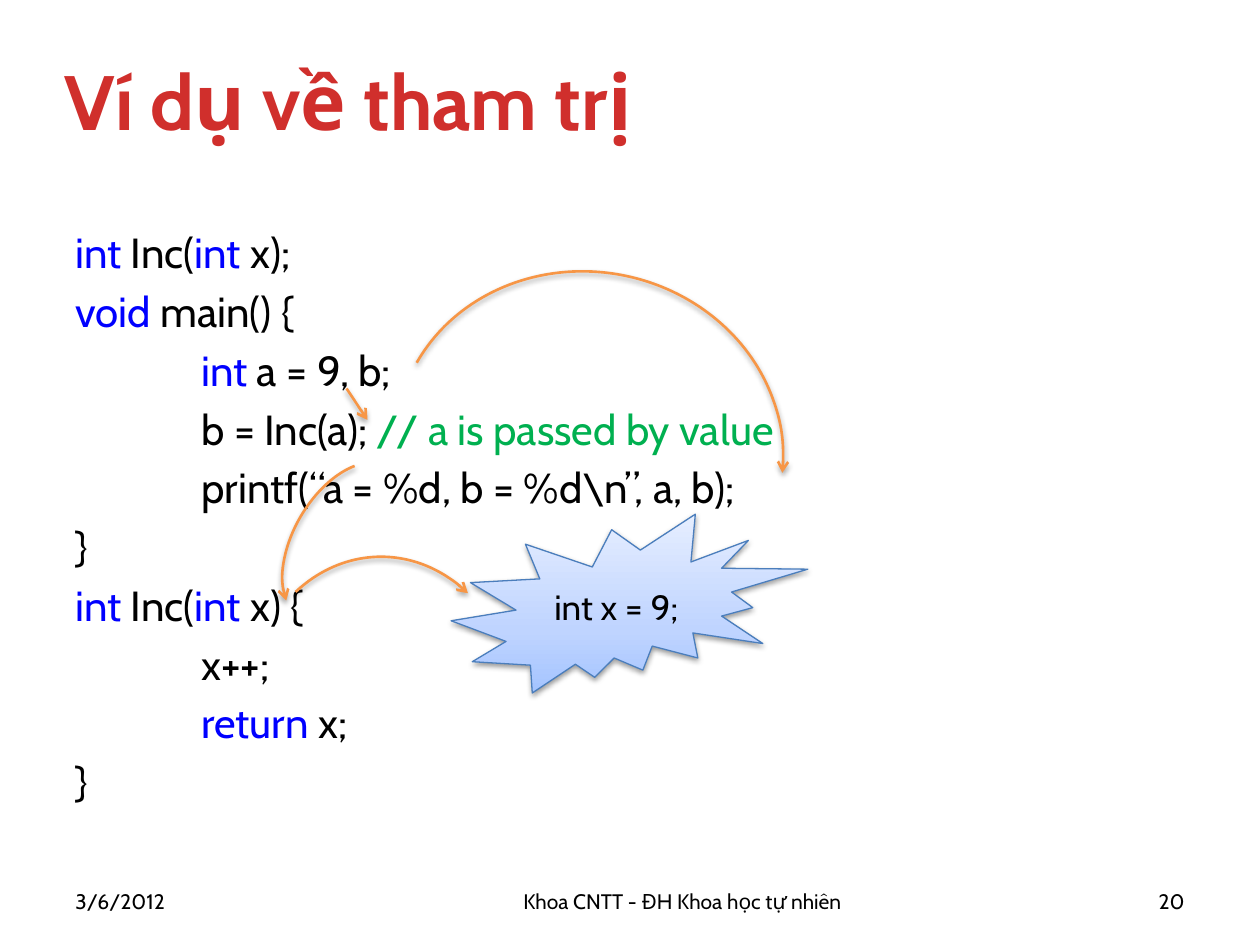
from lxml import etree
from pptx import Presentation
from pptx.dml.color import RGBColor
from pptx.enum.shapes import MSO_CONNECTOR, MSO_SHAPE
from pptx.enum.text import MSO_ANCHOR, PP_ALIGN
from pptx.oxml.ns import qn
from pptx.util import Pt

ARC, BURST = MSO_SHAPE.ARC, MSO_SHAPE.EXPLOSION2
STRAIGHT = MSO_CONNECTOR.STRAIGHT
TOP, MIDDLE = MSO_ANCHOR.TOP, MSO_ANCHOR.MIDDLE
LEFT, CENTER, RIGHT = PP_ALIGN.LEFT, PP_ALIGN.CENTER, PP_ALIGN.RIGHT

RED, BLACK, BLUE, GREEN = "D02F2C", "000000", "0000FF", "00B050"
ORANGE, STEEL = "F79646", "4B7EBC"


def color(value):
    return RGBColor.from_string(value)


def add_node(parent, tag, **attributes):
    node = etree.SubElement(parent, qn(tag))
    for name, value in attributes.items():
        node.set(name, str(value))
    return node


class SlideBuilder:
    font_name = "Cabin"

    def __init__(self, page):
        self.page = page

    def fill_text(self, frame, lines, size, bold=False, align=LEFT, gap=0, tab=None):
        """Each line is a list of (text, colour) spans."""
        style = {"name": self.font_name, "size": Pt(size), "bold": bold}
        for index, line in enumerate(lines):
            para = frame.paragraphs[0] if index == 0 else frame.add_paragraph()
            para.alignment = align
            if index and gap:
                para.space_before = Pt(gap)
            if tab:
                stops = add_node(para._p.get_or_add_pPr(), "a:tabLst")
                add_node(stops, "a:tab", pos=Pt(tab), algn="l")
            for text, hue in line:
                span = para.add_run()
                span.text = text
                for name, value in style.items():
                    setattr(span.font, name, value)
                span.font.color.rgb = color(hue)

    def text(self, place, lines, size, anchor=MIDDLE, **layout):
        box = self.page.shapes.add_textbox(*map(Pt, place))
        frame = box.text_frame
        frame.word_wrap = True
        frame.vertical_anchor = anchor
        self.fill_text(frame, lines, size, **layout)

    def outline(self, shape, hue, width, arrow=False, distance=1.8, opacity=35):
        """Line, optional arrowhead and soft shadow below."""
        shape.line.color.rgb = color(hue)
        shape.line.width = Pt(width)
        properties = shape._element.spPr
        if arrow:
            add_node(properties.find(qn("a:ln")), "a:tailEnd", type="arrow")
        effects = add_node(properties, "a:effectLst")
        shadow = add_node(effects, "a:outerShdw", blurRad=Pt(3.1),
                          dist=Pt(distance), dir=90 * 60000, rotWithShape=0)
        hue_node = add_node(shadow, "a:srgbClr", val=BLACK)
        add_node(hue_node, "a:alpha", val=opacity * 1000)

    def arc(self, place, start, end, rotation=0, flip=False):
        """Curved arrow between two angles in degrees."""
        arc = self.page.shapes.add_shape(ARC, *map(Pt, place))
        for index, angle in enumerate((start, end)):
            arc.adjustments[index] = angle * 0.6
        arc.rotation = rotation
        if flip:
            arc._element.spPr.find(qn("a:xfrm")).set("flipH", "1")
        arc.fill.background()
        self.outline(arc, ORANGE, 1.5, arrow=True)

    def arrow(self, *ends):
        line = self.page.shapes.add_connector(STRAIGHT, *map(Pt, ends))
        self.outline(line, ORANGE, 1.5, arrow=True)

    def burst(self, place, label, stops):
        burst = self.page.shapes.add_shape(BURST, *map(Pt, place))
        burst.fill.gradient()
        burst.fill.gradient_angle = 90
        stop_list = burst._element.spPr.find(".//" + qn("a:gsLst"))
        for old in list(stop_list):
            stop_list.remove(old)
        for position, hue in stops:
            stop = add_node(stop_list, "a:gs", pos=position * 1000)
            add_node(stop, "a:srgbClr", val=hue)
        self.outline(burst, STEEL, 0.75, distance=1.6, opacity=38)
        frame = burst.text_frame
        frame.word_wrap = False
        frame.vertical_anchor = MIDDLE
        self.fill_text(frame, [[(label, BLACK)]], 20, align=CENTER)


def main():
    deck = Presentation()
    deck.slide_width, deck.slide_height = Pt(720), Pt(540)
    slide = SlideBuilder(deck.slides.add_slide(deck.slide_layouts[6]))

    # Title
    slide.text((30, 12, 678, 90), [[("Ví dụ về tham trị", RED)]], 44, bold=True)

    # Code listing
    signature = [("int", BLUE), (" Inc(", BLACK), ("int", BLUE)]
    code = [
        signature + [(" x);", BLACK)],
        [("void", BLUE), (" main() {", BLACK)],
        [("\t", BLACK), ("int", BLUE), (" a = 9, b;", BLACK)],
        [("\tb = Inc(a); ", BLACK), ("// a is passed by value", GREEN)],
        [("\tprintf(“a = %d, b = %d\\n”, a, b);", BLACK)],
        [("}", BLACK)],
        signature + [(" x) {", BLACK)],
        [("\tx++;", BLACK)],
        [("\t", BLACK), ("return", BLUE), (" x;", BLACK)],
        [("}", BLACK)],
    ]
    slide.text((36, 126, 648, 356.4), code, 24, anchor=TOP, gap=4.8, tab=72)

    # Footer
    for left, width, label, align in (
        (36, 78, "3/6/2012", LEFT),
        (150, 480, "Khoa CNTT - ĐH Khoa học tự nhiên", CENTER),
        (642, 42, "20", RIGHT),
    ):
        slide.text((left, 500.4, width, 28.8), [[(label, BLACK)]], 12, align=align)

    # Call into the function and its local copy of the value
    slide.arc((167.8, 259.9, 58.3, 100.1), 292.76, 75.05, rotation=30.2, flip=True)
    slide.arc((139.7, 318.2, 156.2, 182.9), 235.61, 305.12)
    slide.burst((257.8, 293.8, 203.8, 102.2), "int x = 9;",
                [(0, "A4C4FF"), (35, "BFD4FF"), (100, "E6EEFF")])

    # Flow of the variables inside main
    slide.arrow(198, 222, 210, 240)
    slide.arc((225.4, 155.5, 222.5, 203.8), 195.15, 354.82, rotation=11.8)

    deck.save("out.pptx")


if __name__ == "__main__":
    main()
